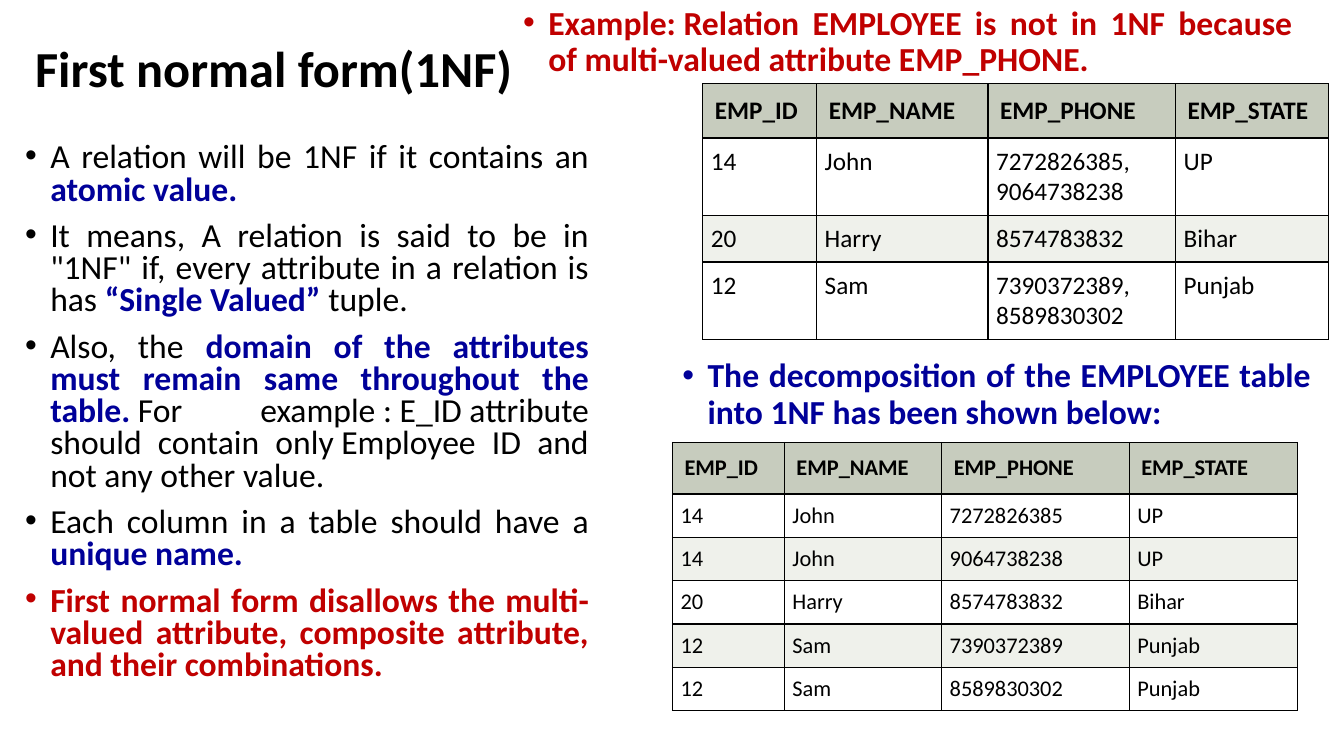
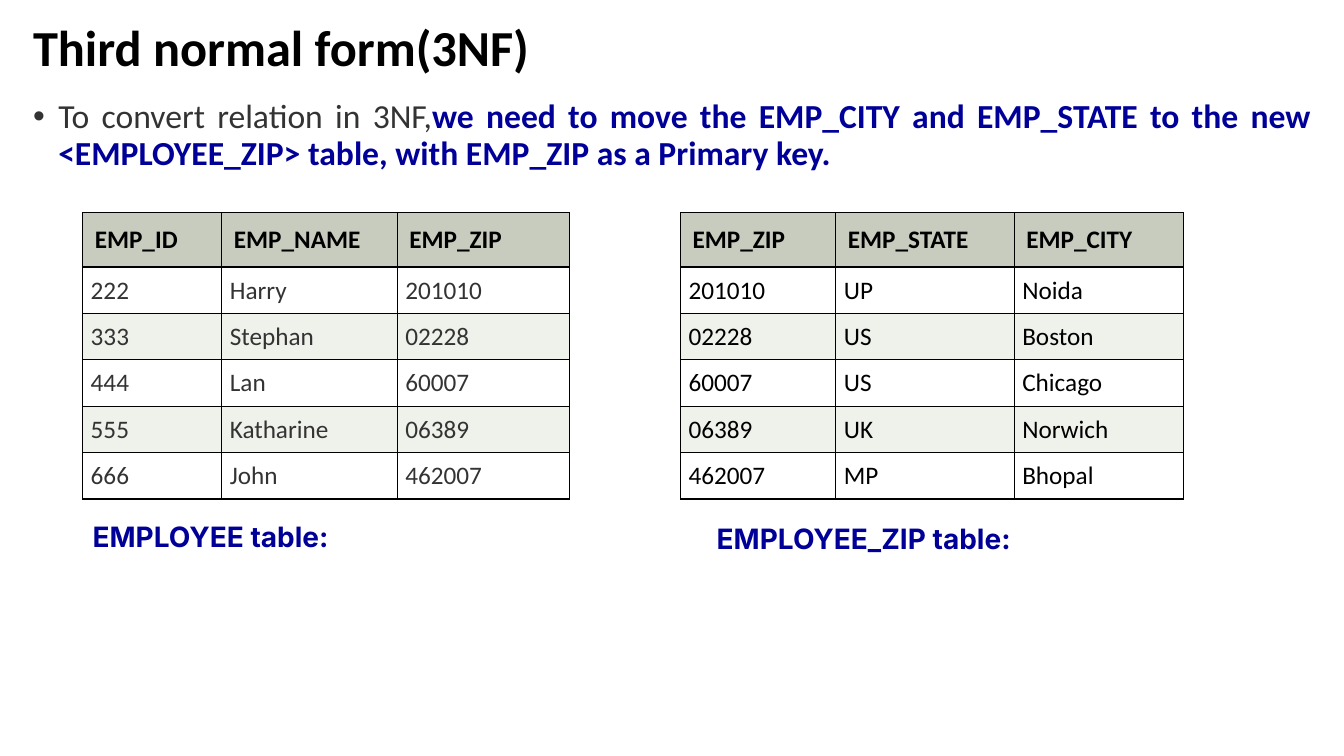
"""Build two slides on database normal forms."""
from lxml import etree
from pptx import Presentation
from pptx import util as u
from pptx.dml.color import RGBColor
from pptx.enum import text
from pptx.oxml import ns

BLACK = RGBColor(0x00, 0x00, 0x00)
GRAY = RGBColor(0x33, 0x33, 0x33)
BLUE = RGBColor(0x00, 0x00, 0x99)
RED = RGBColor(0xC0, 0x00, 0x00)
HEADER_FILL = RGBColor(0xC7, 0xCC, 0xBE)
BAND_FILLS = (RGBColor(0xFF, 0xFF, 0xFF), RGBColor(0xEF, 0xF1, 0xEB))

FONT = "Calibri"
CAPTION_FONT = "Inter"
HEADER_MARGIN = 0.12
BODY_MARGIN = 0.08
LINE_HEIGHT = 1.22
BULLET_INDENT = u.Inches(0.25)

EMPLOYEE_HEADER = ("EMP_ID", "EMP_NAME", "EMP_PHONE", "EMP_STATE")


def add_child(parent, tag, **attributes):
    """Append a drawing element and return it."""
    return etree.SubElement(parent, ns.qn(tag), attributes)


def style_run(run, size, color, bold=False, font=FONT):
    """Set the font of one run."""
    run.font.name = font
    run.font.size = u.Pt(size)
    run.font.bold = bold
    run.font.color.rgb = color


def add_text_box(slide, left, top, width, height):
    """Add a wrapping text box and return its text frame."""
    box = slide.shapes.add_textbox(
        u.Inches(left), u.Inches(top), u.Inches(width), u.Inches(height))
    box.text_frame.word_wrap = True
    return box.text_frame


def add_line(slide, words, place, size, color, font=FONT):
    """Add a bold single-line text and return its frame."""
    frame = add_text_box(slide, *place)
    frame.text = words
    paragraph = frame.paragraphs[0]
    paragraph.line_spacing = 0.9
    style_run(paragraph.runs[0], size, color, True, font)
    return frame


def add_title(slide, words, left, top):
    """Add the slide title."""
    frame = add_line(slide, words, (left, top, 11.5, 0.56), 36, BLACK)
    frame.vertical_anchor = text.MSO_ANCHOR.MIDDLE


def add_caption(slide, words, left, top):
    """Add the name that stands below a table."""
    add_line(slide, words, (left, top, 3.53, 0.43), 20, BLUE, CAPTION_FONT)


def set_bullet(paragraph, color):
    """Give a paragraph a hanging bullet in the given colour."""
    properties = paragraph._p.get_or_add_pPr()
    properties.set("marL", str(BULLET_INDENT))
    properties.set("indent", str(-BULLET_INDENT))
    bullet_color = add_child(properties, "a:buClr")
    add_child(bullet_color, "a:srgbClr", val=str(color))
    add_child(properties, "a:buFont", typeface="Arial")
    add_child(properties, "a:buChar", char="\u2022")


def add_bullets(slide, items, place, line_spacing=0.9):
    """Add justified bullets; each item lists (words, colour) parts.

    The coloured accents, blue and red, are bold.
    """
    frame = add_text_box(slide, *place)
    for index, parts in enumerate(items):
        paragraph = frame.add_paragraph() if index else frame.paragraphs[0]
        paragraph.alignment = text.PP_ALIGN.JUSTIFY
        paragraph.line_spacing = line_spacing
        paragraph.space_before = u.Pt(10 if index else 0)
        set_bullet(paragraph, parts[0][1])
        for words, color in parts:
            run = paragraph.add_run()
            run.text = words
            style_run(run, 24, color, color in (BLUE, RED))


def set_borders(cell):
    """Draw a thin black line on all four sides of a cell."""
    properties = cell._tc.get_or_add_tcPr()
    for position, side in enumerate(("a:lnL", "a:lnR", "a:lnT", "a:lnB")):
        line = etree.Element(ns.qn(side), w=str(u.Pt(1)))
        fill = add_child(line, "a:solidFill")
        add_child(fill, "a:srgbClr", val=str(BLACK))
        properties.insert(position, line)


def fill_cell(cell, words, size, color, fill, margin, bold):
    """Write and style one table cell."""
    cell.margin_left = cell.margin_right = u.Inches(margin)
    cell.margin_top = cell.margin_bottom = u.Inches(margin)
    cell.fill.solid()
    cell.fill.fore_color.rgb = fill
    cell.text_frame.text = words
    for run in cell.text_frame.paragraphs[0].runs:
        style_run(run, size, color, bold)
    set_borders(cell)


def add_data_table(slide, rows, left, top, widths, size=18, color=BLACK):
    """Add a table with a header row, banded rows and fitted heights."""
    table = slide.shapes.add_table(
        len(rows), len(widths), u.Inches(left), u.Inches(top),
        u.Inches(sum(widths)), u.Inches(len(rows) * 0.4)).table
    for column, width in zip(table.columns, widths):
        column.width = u.Inches(width)
    for index, values in enumerate(rows):
        header = index == 0
        margin = HEADER_MARGIN if header else BODY_MARGIN
        fill = HEADER_FILL if header else BAND_FILLS[(index - 1) % 2]
        lines = 1 + max(value.count("\v") for value in values)
        table.rows[index].height = u.Inches(
            round(lines * size * LINE_HEIGHT / 72 + 2 * margin, 2))
        for cell, value in zip(table.rows[index].cells, values):
            fill_cell(cell, value, size, BLACK if header else color,
                      fill, margin, header)


def build_first_form(slide):
    """Fill the slide on the first normal form."""
    add_title(slide, "First normal form(1NF)", 0.25, 0.43)
    add_bullets(slide, [
        [("A relation will be 1NF if it contains an ", BLACK),
         ("atomic value.", BLUE)],
        [("It means, A relation is said to be in \"1NF\" if, every attribute "
          "in a relation is has ", BLACK),
         ("“Single Valued” ", BLUE), ("tuple.", BLACK)],
        [("Also, the ", BLACK),
         ("domain of the attributes must remain same throughout the table.",
          BLUE),
         ("\u00a0For example\u00a0:\u00a0E_ID\u00a0attribute should contain "
          "only\u00a0Employee ID and not any other value.", BLACK)],
        [("Each column in a table should have a ", BLACK),
         ("unique name.\u00a0", BLUE)],
        [("First normal form disallows the multi-valued attribute, composite "
          "attribute, and their combinations.", RED)],
    ], (0.15, 1.37, 5.79, 5.83), 0.8)
    add_data_table(slide, [
        EMPLOYEE_HEADER,
        ("14", "John", "7272826385,\v9064738238", "UP"),
        ("20", "Harry", "8574783832", "Bihar"),
        ("12", "Sam", "7390372389,\v8589830302", "Punjab"),
    ], 6.97, 0.83, (1.13, 1.7, 1.86, 1.52))
    add_bullets(slide, [
        [("Example:\u00a0Relation EMPLOYEE is not in 1NF because of "
          "multi-valued attribute EMP_PHONE.", RED)],
    ], (5.09, 0.01, 7.83, 1.39))
    add_bullets(slide, [
        [("The decomposition of the EMPLOYEE table into 1NF has been shown "
          "below:", BLUE)],
    ], (6.67, 3.51, 6.43, 1.39))
    add_data_table(slide, [
        EMPLOYEE_HEADER,
        ("14", "John", "7272826385", "UP"),
        ("14", "John", "9064738238", "UP"),
        ("20", "Harry", "8574783832", "Bihar"),
        ("12", "Sam", "7390372389", "Punjab"),
        ("12", "Sam", "8589830302", "Punjab"),
    ], 6.67, 4.39, (1.11, 1.56, 1.86, 1.67), size=16)


def build_third_form(slide):
    """Fill the slide on the third normal form."""
    add_title(slide, "Third normal form(3NF)", 0.23, 0.22)
    add_bullets(slide, [
        [("To convert relation in 3NF,", GRAY),
         ("we need to move the EMP_CITY and EMP_STATE to the new "
          "<EMPLOYEE_ZIP> table, with EMP_ZIP as a Primary key.", BLUE)],
    ], (0.23, 0.94, 12.87, 1.01))
    add_caption(slide, "EMPLOYEE table:", 0.82, 5.14)
    add_data_table(slide, [
        ("EMP_ID", "EMP_NAME", "EMP_ZIP"),
        ("222", "Harry", "201010"),
        ("333", "Stephan", "02228"),
        ("444", "Lan", "60007"),
        ("555", "Katharine", "06389"),
        ("666", "John", "462007"),
    ], 0.82, 2.11, (1.38, 1.74, 1.71), color=GRAY)
    add_data_table(slide, [
        ("EMP_ZIP", "EMP_STATE", "EMP_CITY"),
        ("201010", "UP", "Noida"),
        ("02228", "US", "Boston"),
        ("60007", "US", "Chicago"),
        ("06389", "UK", "Norwich"),
        ("462007", "MP", "Bhopal"),
    ], 6.75, 2.11, (1.54, 1.77, 1.68))
    add_caption(slide, "EMPLOYEE_ZIP table:", 7.01, 5.16)


def main():
    """Create and save the presentation."""
    presentation = Presentation()
    presentation.slide_width = u.Inches(13.33)
    presentation.slide_height = u.Inches(7.5)
    blank = presentation.slide_layouts[6]
    for build in (build_first_form, build_third_form):
        build(presentation.slides.add_slide(blank))
    presentation.save("out.pptx")


main()
